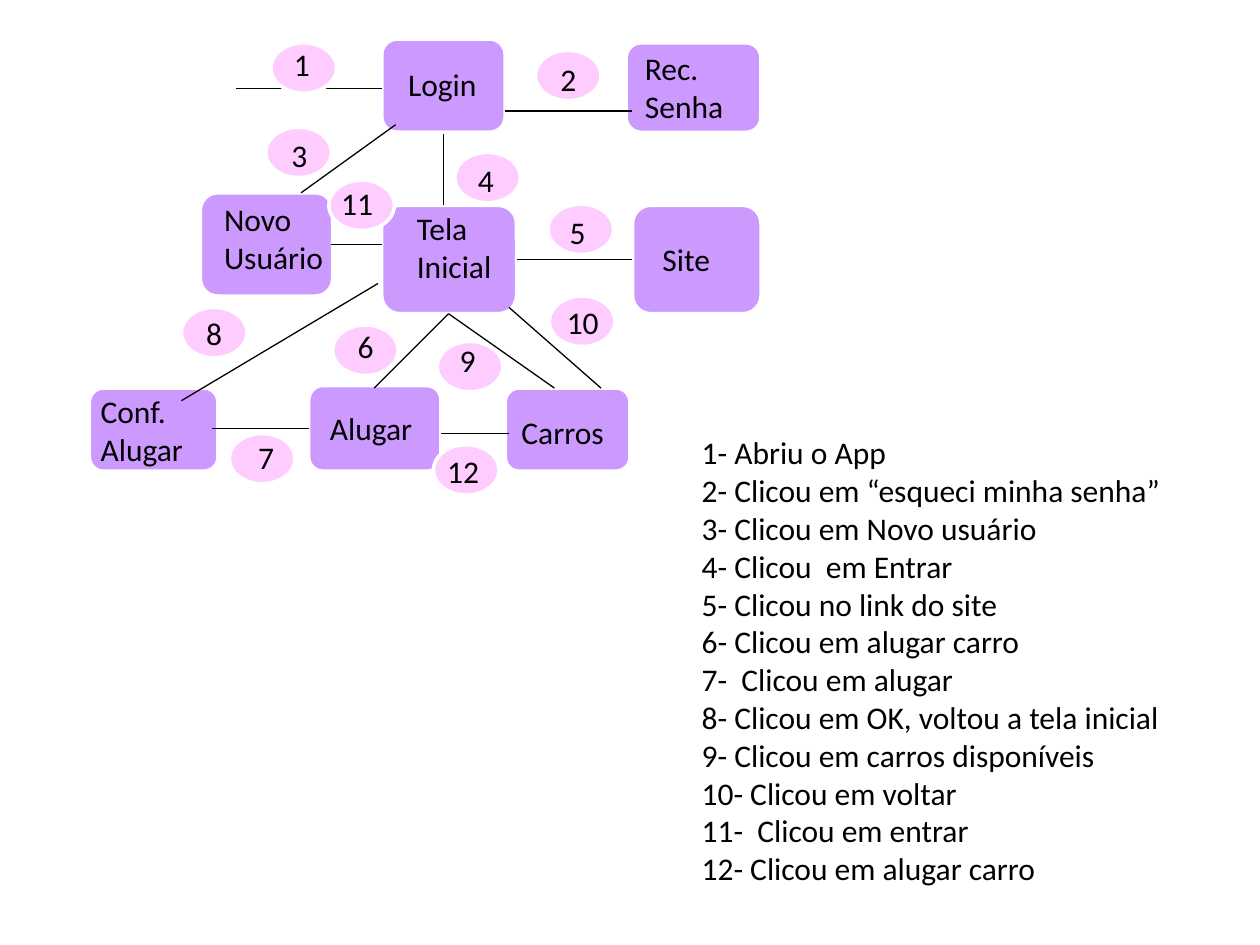
from lxml import etree
from pptx import Presentation, util as u
from pptx.dml.color import RGBColor
from pptx.enum import shapes, text
from pptx.oxml import ns

COLORS = {"screen": "CC99FF", "step": "FFCCFF", "outline": "FFFFFF", "ink": "000000"}

presentation = Presentation()
presentation.slide_width, presentation.slide_height = u.Inches(10), u.Inches(7.5)
slide = presentation.slides.add_slide(presentation.slide_layouts[6])

# Grid of 100 columns by 75 rows
COLUMN = presentation.slide_width / 100
ROW = presentation.slide_height / 75
LINE_HEIGHT, STEP_WIDTH, STEP_HEIGHT = 4, 5.2, 4


def add_node(kind, color, left, top, width, height):
    shape = slide.shapes.add_shape(kind, *grid(left, top, width, height))
    shape.shadow.inherit = False
    shape.fill.solid()
    shape.fill.fore_color.rgb = RGBColor.from_string(COLORS[color])
    shape.line.color.rgb = RGBColor.from_string(COLORS["outline"])
    shape.line.width = u.Pt(2)


def add_label(content, left, top, width, height, alignment=text.PP_ALIGN.LEFT):
    frame = slide.shapes.add_textbox(*grid(left, top, width, height)).text_frame
    frame.word_wrap = True
    frame.text = content
    for paragraph in frame.paragraphs:
        paragraph.alignment = alignment
        for run in paragraph.runs:
            run.font.name = "Calibri"
            run.font.size = u.Pt(18)
            run.font.color.rgb = RGBColor.from_string(COLORS["ink"])


grid = lambda *values: [round(value * (ROW if index % 2 else COLUMN))
                        for index, value in enumerate(values)]

# Screens: box on the grid, then its name and the name's place
screens = [
    ((30.3, 3.1, 9.8, 7.4), "Login", (31.4, 4.7, 7.9, 4)),
    ((49.7, 3.4, 10.7, 7.1), "Rec. Senha", (50.2, 3.4, 10.9, 7.1)),
    ((15.9, 15.3, 10.5, 8.2), "Novo\nUsuário", (16.8, 15.4, 12.4, 7.1)),
    ((30.3, 16.3, 10.7, 8.6), "Tela Inicial", (32.1, 16.1, 10.2, 7.1)),
    ((50.2, 16.3, 10.2, 8.6), "Site", (51.6, 18.6, 6.3, 4)),
    ((7.1, 30.8, 10.2, 6.6), "Conf.\nAlugar", (7, 30.6, 12.9, 7.1)),
    ((24.5, 30.6, 10.5, 6.8), "Alugar", (25.2, 32, 13.4, 4)),
    ((40.1, 30.8, 9.9, 6.6), "Carros", (40.4, 32.3, 11.8, 4)),
]
for box, name, place in screens:
    add_node(shapes.MSO_SHAPE.ROUNDED_RECTANGLE, "screen", *box)
    add_label(name, *place)

# Transitions between screens
transitions = [
    (18.7, 7, 30.3, 7), (40.1, 8.8, 50.2, 8.8), (31.4, 9.9, 23.9, 15.3),
    (35.2, 10.6, 35.2, 16.3), (41, 20.6, 50.2, 20.6), (35.6, 24.9, 29.7, 30.8),
    (24.5, 34, 16.8, 34), (14.4, 31.8, 30, 22.5), (35.6, 24.9, 44, 30.8),
    (47.7, 30.8, 40.4, 24.4), (26.3, 19.4, 30.3, 19.4), (40.4, 34.4, 35, 34.4),
]
for ends in transitions:
    connector = slide.shapes.add_connector(shapes.MSO_CONNECTOR.STRAIGHT, *grid(*ends))
    connector.line.color.rgb = RGBColor.from_string(COLORS["ink"])
    connector.line.width = u.Pt(0.75)
    etree.SubElement(connector._element.spPr, ns.qn("a:effectLst"))

# Numbered steps: bubble corner, then the number's left, top and width
steps = [
    ((21.5, 3.4), (21.4, 3.1, 5.1)), ((42.5, 4), (42.5, 4.3, 5.2)),
    ((21.1, 10.1), (21.2, 10.3, 5.1)), ((36.1, 12.1), (36.1, 12.3, 4.9)),
    ((43.5, 16.2), (44, 16.4, 3.7)), ((26.4, 25.8), (27.4, 25.5, 2.6)),
    ((18.2, 34.4), (19.5, 34.3, 2.5)), ((14.4, 24.4), (15.1, 24.4, 3.8)),
    ((34.7, 27.1), (35.5, 26.6, 3.2)), ((43.6, 23.5), (44, 23.6, 6.5)),
    ((26.1, 14.3), (26.1, 14.1, 5.3)), ((34.4, 35.3), (34.5, 35.4, 5.8)),
]
for number, (corner, place) in enumerate(steps, start=1):
    add_node(shapes.MSO_SHAPE.OVAL, "step", *corner, STEP_WIDTH, STEP_HEIGHT)
    alignment = text.PP_ALIGN.CENTER if number < 10 else text.PP_ALIGN.LEFT
    add_label(str(number), *place, LINE_HEIGHT, alignment)

# Legend of the steps
legend = [
    "1- Abriu o App",
    "2- Clicou em “esqueci minha senha”",
    "3- Clicou em Novo usuário",
    "4- Clicou  em Entrar",
    "5- Clicou no link do site",
    "6- Clicou em alugar carro",
    "7-  Clicou em alugar",
    "8- Clicou em OK, voltou a tela inicial",
    "9- Clicou em carros disponíveis",
    "10- Clicou em voltar",
    "11-  Clicou em entrar",
    "12- Clicou em alugar carro",
]
add_label("\n".join(legend), 54.7, 33.9, 40.9, 37.4)

presentation.save("out.pptx")
